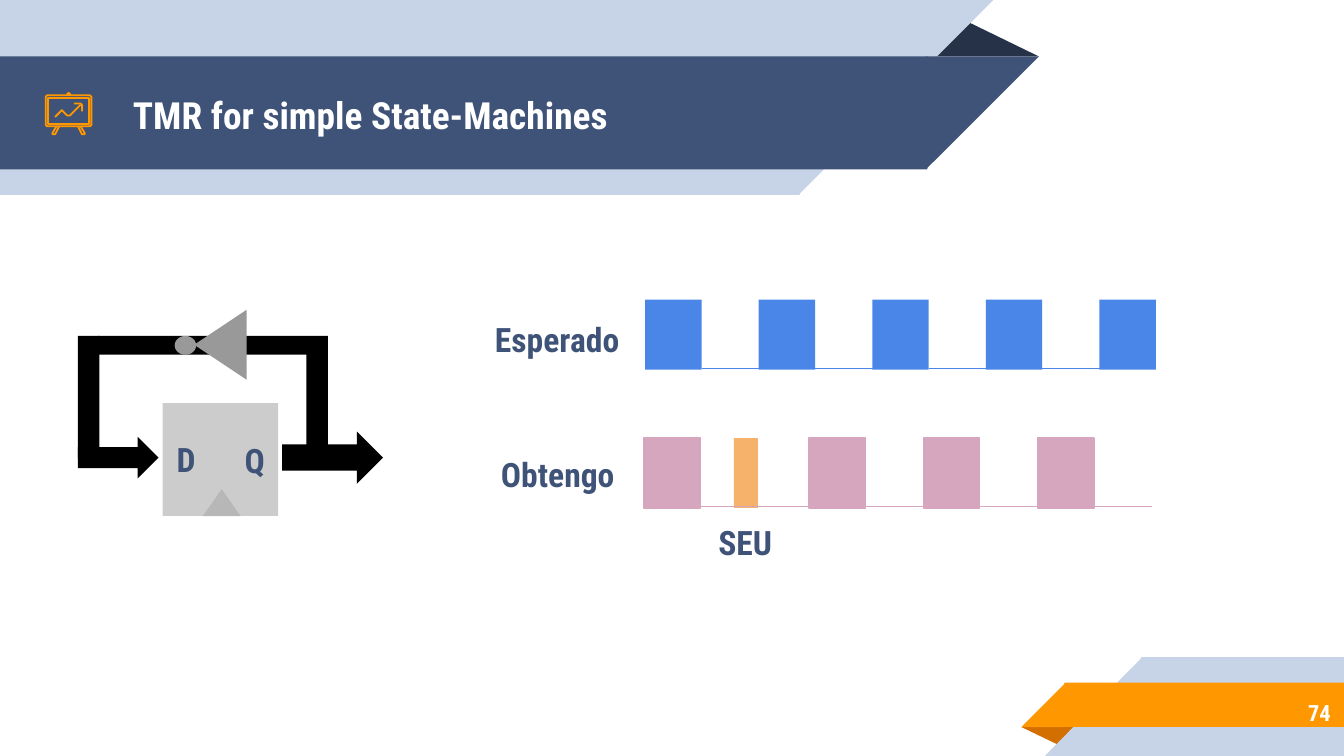
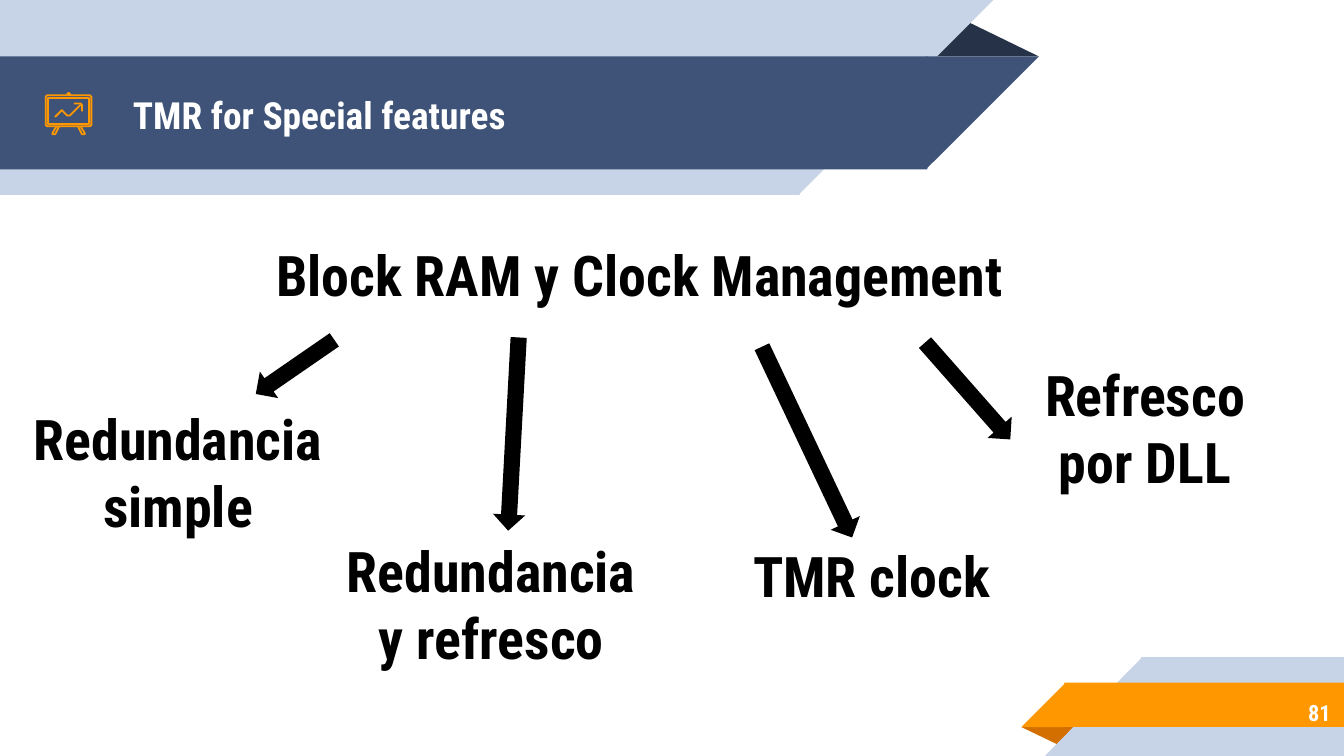
from lxml import etree
from pptx import Presentation
from pptx.dml.color import RGBColor
from pptx.enum.shapes import MSO_CONNECTOR, MSO_SHAPE
from pptx.enum.text import MSO_ANCHOR, PP_ALIGN
from pptx.oxml.ns import qn
from pptx.util import Inches, Pt

RECT, OVAL = MSO_SHAPE.RECTANGLE, MSO_SHAPE.OVAL
WEDGE, PEAK = MSO_SHAPE.RIGHT_TRIANGLE, MSO_SHAPE.ISOSCELES_TRIANGLE
ARROW = MSO_SHAPE.RIGHT_ARROW
STRAIGHT = MSO_CONNECTOR.STRAIGHT
LEFT, CENTER, RIGHT = PP_ALIGN.LEFT, PP_ALIGN.CENTER, PP_ALIGN.RIGHT
TOP, MIDDLE = MSO_ANCHOR.TOP, MSO_ANCHOR.MIDDLE

WIDTH = Inches(10)
HEIGHT = WIDTH * 9 // 16
FONT = "Roboto Condensed"
NAVY = RGBColor(0x3F, 0x53, 0x78)
DARK = RGBColor(0x26, 0x32, 0x48)
PALE = RGBColor(0xC7, 0xD3, 0xE6)
ORANGE = RGBColor(0xFF, 0x98, 0x00)
RUST = RGBColor(0xD2, 0x6F, 0x00)
WHITE = RGBColor(0xFF, 0xFF, 0xFF)
BLACK = RGBColor(0, 0, 0)
SILVER = RGBColor(0xCC, 0xCC, 0xCC)
ASH = RGBColor(0xB7, 0xB7, 0xB7)
GRAY = RGBColor(0x99, 0x99, 0x99)
BLUE = RGBColor(0x4A, 0x86, 0xE8)
PINK = RGBColor(0xD5, 0xA6, 0xBD)
PEACH = RGBColor(0xF6, 0xB2, 0x6B)

# Frame parts: kind, box, colour, rotation, flipped
FRAME = [
    (PEAK, (6.88, 0.14, 0.85, 0.28), DARK, 0, False),
    (RECT, (0, 0, 5.95, 1.45), PALE, 0, False),
    (WEDGE, (5.94, 0, 1.45, 1.45), PALE, 180, True),
    (RECT, (0, 0.42, 6.9, 0.84), NAVY, 0, False),
    (WEDGE, (6.89, 0.42, 0.84, 0.84), NAVY, 180, True),
    (PEAK, (7.6, 5.41, 0.43, 0.14), RUST, 180, False),
    (RECT, (8.49, 4.89, 1.51, 0.74), PALE, 0, False),
    (WEDGE, (7.77, 4.89, 0.73, 0.74), PALE, 0, True),
    (RECT, (7.92, 5.08, 2.08, 0.33), ORANGE, 0, False),
    (WEDGE, (7.6, 5.08, 0.33, 0.33), ORANGE, 0, True),
]
FOLD = 0.324

# Board icon outlines in hundredths of an inch: closed, points
ICON = [
    (True, [(67, 71), (35, 71), (34, 72), (34, 93), (35, 94), (67, 94),
            (68, 93), (68, 72)]),
    (False, [(52, 71), (52, 70), (51, 69), (50, 70), (50, 71)]),
    (False, [(42, 94), (39, 99), (39, 100), (41, 100), (44, 94)]),
    (False, [(58, 94), (61, 100), (63, 100), (63, 99), (60, 94)]),
    (True, [(36, 73), (36, 92), (66, 92), (66, 73)]),
    (False, [(60, 78), (52, 86), (50, 86), (46, 82), (41, 87)]),
    (False, [(55, 77), (60, 77), (61, 78), (61, 83)]),
]

# Flip-flop with inverted feedback: kind, box, colour, rotation
CIRCUIT = [
    (RECT, (1.21, 3, 0.86, 0.84), SILVER, 0),
    (ARROW, (2.1, 3.21, 0.75, 0.39), BLACK, 0),
    (RECT, (2.28, 2.58, 0.16, 0.75), BLACK, 0),
    (RECT, (0.73, 2.5, 1.71, 0.14), BLACK, 0),
    (ARROW, (0.58, 3.25, 0.6, 0.31), BLACK, 0),
    (RECT, (0.58, 2.5, 0.16, 0.91), BLACK, 0),
    (PEAK, (1.51, 3.64, 0.28, 0.2), ASH, 0),
    (PEAK, (1.38, 2.37, 0.52, 0.39), GRAY, 270),
    (OVAL, (1.3, 2.5, 0.16, 0.14), GRAY, 0),
]
LABELS = [
    ("D", (1.21, 3.28, 0.35, 0.27)),
    ("Q", (1.72, 3.25, 0.35, 0.35)),
    ("SEU", (5.17, 3.9, 0.75, 0.27)),
    ("Obtengo", (3.62, 3.39, 1.06, 0.27)),
    ("Esperado", (3.55, 2.39, 1.19, 0.27)),
]
PULSE_W, PULSE_H, GAP = 0.42, 0.52, 0.43
STEP = PULSE_W + GAP
WANT = [4.8 + i * (8.18 - 4.8) / 4 for i in range(5)]
LATE = [6.02 + i * STEP for i in range(3)]
# Waves: colour, top, outline, pulse starts, low-level starts
WAVES = [
    (BLUE, 2.23, False, WANT, [x + PULSE_W for x in WANT[:-1]]),
    (PINK, 3.26, True, [4.79] + LATE,
     [5.2, LATE[0] - GAP] + [x + PULSE_W for x in LATE]),
]
UPSET = (5.46, 3.26, 0.18, PULSE_H)

TOPICS = [
    ("Block RAM y Clock Management", (1.37, 1.69, 6.78, 0.64)),
    ("Redundancia simple", (0.1, 2.91, 2.45, 1.15)),
    ("Redundancia y refresco", (2.43, 3.89, 2.45, 1.15)),
    ("TMR clock", (5.26, 3.93, 2.45, 0.78)),
    ("Refresco por DLL", (7.36, 2.58, 2.32, 1.09)),
]
# Arrows: left, top, length, angle
ARROWS = [(6.72, 2.79, 0.96, 48.6), (5.22, 3.17, 1.57, 64.7),
          (3.1, 3.11, 1.44, 93.1), (1.84, 2.61, 0.71, 145.4)]
ARROW_H = 0.24


def put_shape(slide, kind, box, color, turn=0, flip=False, edge=False):
    shape = slide.shapes.add_shape(kind, *map(Inches, box))
    shape.shadow.inherit = False
    shape.fill.solid()
    shape.fill.fore_color.rgb = color
    if edge:
        shape.line.color.rgb = color
        shape.line.width = Pt(0.75)
    else:
        shape.line.fill.background()
    shape.rotation = turn
    if flip:
        shape._element.spPr.xfrm.set("flipH", "1")
    return shape


def put_text(slide, text, box, size=18, color=NAVY, align=CENTER,
             anchor=MIDDLE, after=0):
    frame = slide.shapes.add_textbox(*map(Inches, box)).text_frame
    frame.word_wrap = True
    frame.vertical_anchor = anchor
    frame.margin_left = frame.margin_right = Inches(0.1)
    frame.margin_top = frame.margin_bottom = Inches(0.1)
    para = frame.paragraphs[0]
    para.alignment = align
    para.space_after = Pt(after)
    run = para.add_run()
    run.text = text
    run.font.name = FONT
    run.font.size = Pt(size)
    run.font.bold = True
    run.font.color.rgb = color


def put_line(slide, x, y, width, color):
    line = slide.shapes.add_connector(
        STRAIGHT, Inches(x), Inches(y), Inches(x + width), Inches(y))
    line.line.color.rgb = color
    line.line.width = Pt(0.75)
    etree.SubElement(line._element.spPr, qn("a:effectLst"))


def put_icon(slide):
    for closed, points in ICON:
        pen = slide.shapes.build_freeform(*points[0], scale=Inches(0.01))
        pen.add_line_segments(points[1:], close=closed)
        shape = pen.convert_to_shape()
        shape.shadow.inherit = False
        shape.fill.background()
        shape.line.color.rgb = ORANGE
        shape.line.width = Pt(0.96)


def new_slide(deck, title, number):
    """Add a slide with the shared bands, icon, title and page number."""
    slide = deck.slides.add_slide(deck.slide_layouts[6])
    for kind, box, color, turn, flip in FRAME:
        shape = put_shape(slide, kind, box, color, turn, flip)
        if kind == PEAK:
            shape.adjustments[0] = FOLD
    put_text(slide, title, (0.89, 0.43, 5.98, 0.84), size=20, color=WHITE,
             align=LEFT)
    put_text(slide, number, (8.37, 5.13, 1.63, 0.35), size=12, color=WHITE,
             align=RIGHT)
    put_icon(slide)
    return slide


def draw_states(slide):
    for part in CIRCUIT:
        put_shape(slide, *part)
    for color, top, edge, highs, lows in WAVES:
        for x in highs:
            put_shape(slide, RECT, (x, top, PULSE_W, PULSE_H), color,
                      edge=edge)
        if color == PINK:
            put_shape(slide, RECT, UPSET, PEACH)
        for x in lows:
            put_line(slide, x, top + PULSE_H - 0.01, GAP, color)
    for text, box in LABELS:
        put_text(slide, text, box, after=10)


def draw_topics(slide):
    for text, box in TOPICS:
        put_text(slide, text, box, size=30, color=BLACK, anchor=TOP)
    for x, y, length, turn in ARROWS:
        put_shape(slide, ARROW, (x, y, length, ARROW_H), BLACK, turn)


def main():
    deck = Presentation()
    deck.slide_width, deck.slide_height = WIDTH, HEIGHT
    draw_states(new_slide(deck, "TMR for simple State-Machines", "74"))
    draw_topics(new_slide(deck, "TMR for Special features", "81"))
    deck.save("out.pptx")


if __name__ == "__main__":
    main()
